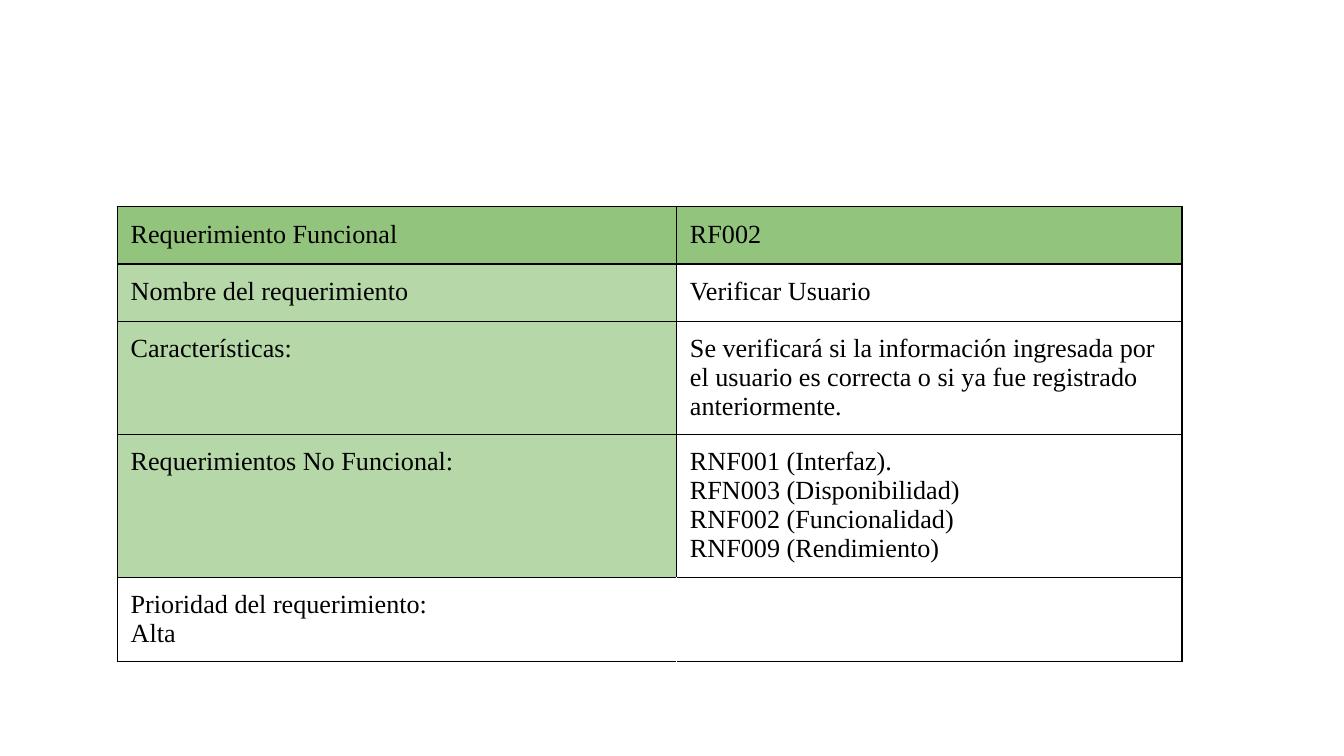
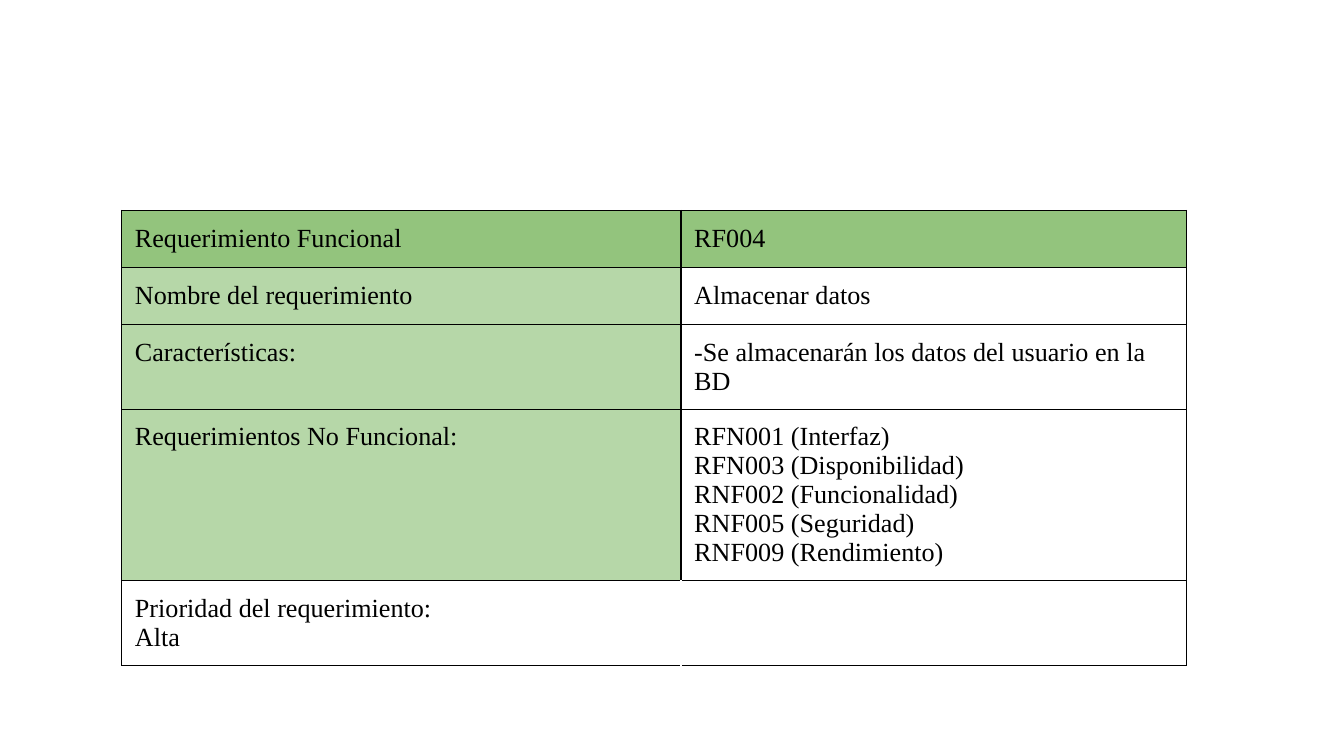
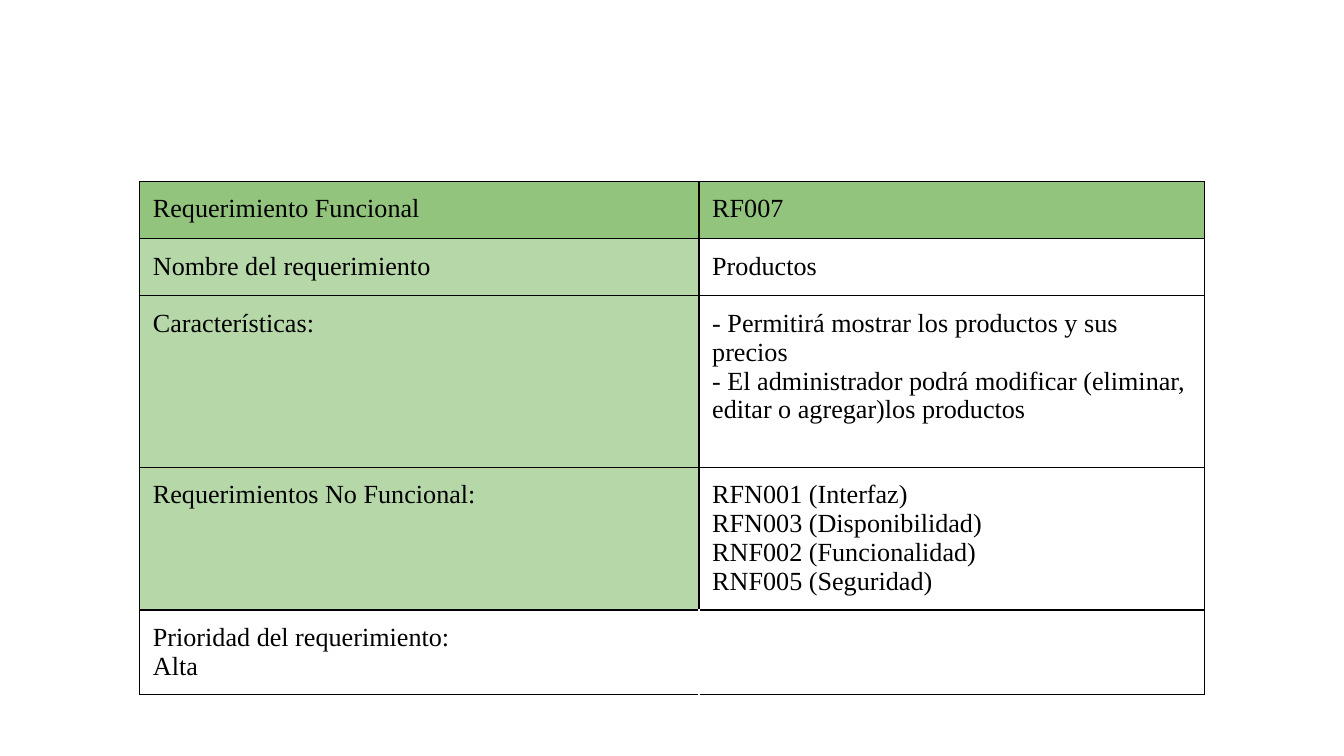
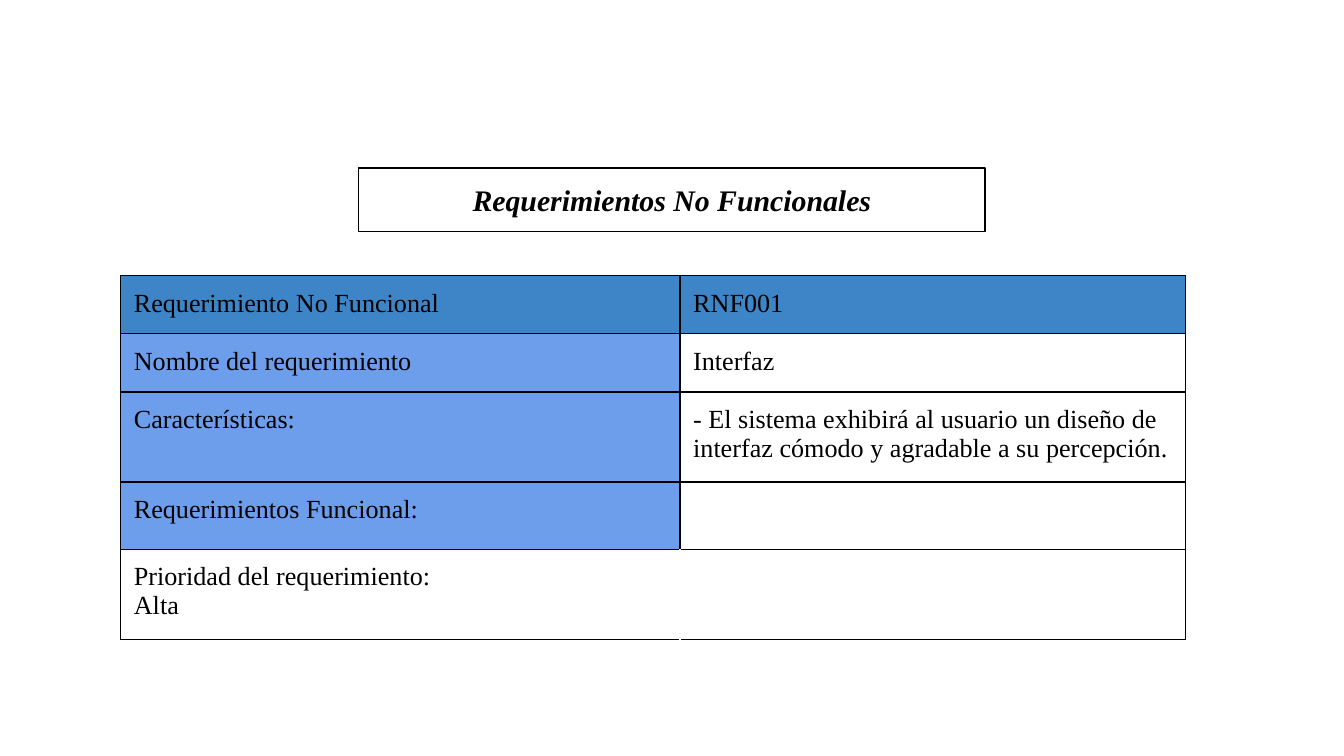
import pptx
import pptx.dml.color
import pptx.enum.shapes
import pptx.enum.text
import pptx.oxml
import pptx.oxml.ns
import pptx.util
from pptx.dml.color import RGBColor
from pptx.util import Cm

BLACK = RGBColor(0x00, 0x00, 0x00)
WHITE = RGBColor(0xFF, 0xFF, 0xFF)
GREEN = RGBColor(0x93, 0xC4, 0x7D)
LIGHT_GREEN = RGBColor(0xB6, 0xD7, 0xA8)
BLUE = RGBColor(0x3D, 0x85, 0xC6)
LIGHT_BLUE = RGBColor(0x6D, 0x9E, 0xEB)

FONT = "Times New Roman"
LINE_WIDTH = pptx.util.Pt(0.75)
INSET = Cm(0.25)
COLUMN_WIDTHS = (10.57, 9.55)
PRIORITY = ["Prioridad del requerimiento:", "Alta"]

FUNCTIONAL_LABELS = (
    "Requerimiento Funcional",
    "Nombre del requerimiento",
    "Características:",
    "Requerimientos No Funcional:",
)
NON_FUNCTIONAL_LABELS = (
    "Requerimiento No Funcional",
    "Nombre del requerimiento",
    "Características:",
    "Requerimientos Funcional:",
)


def add_blank_slide(deck):
    return deck.slides.add_slide(deck.slide_layouts[6])


def set_insets(holder):
    holder.margin_left = holder.margin_right = INSET
    holder.margin_top = holder.margin_bottom = INSET


def write_lines(frame, lines, size=14, bold=False, italic=False, align=None):
    """Write each line as a paragraph with one run."""
    for index, line in enumerate(lines):
        para = frame.add_paragraph() if index else frame.paragraphs[0]
        para.alignment = align
        span = para.add_run()
        span.text = line
        font = span.font
        font.name, font.size = FONT, pptx.util.Pt(size)
        font.bold, font.italic = bold, italic
        font.color.rgb = BLACK


def set_borders(cell, left=BLACK, right=BLACK):
    properties = cell._tc.get_or_add_tcPr()
    sides = {"lnL": left, "lnR": right, "lnT": BLACK, "lnB": BLACK}
    for tag, color in sides.items():
        properties.append(pptx.oxml.parse_xml(
            f'<a:{tag} {pptx.oxml.ns.nsdecls("a")} w="{LINE_WIDTH}">'
            f'<a:solidFill><a:srgbClr val="{color}"/></a:solidFill></a:{tag}>'
        ))


def fill_cell(cell, lines, color, **borders):
    set_insets(cell)
    set_borders(cell, **borders)
    cell.fill.solid()
    cell.fill.fore_color.rgb = color
    write_lines(cell.text_frame, lines)


def add_requirement_table(slide, left, top, heights, labels, values, head_color, label_color):
    """Add a labelled requirement sheet that closes with its priority row."""
    frame = slide.shapes.add_table(
        len(heights), 2, Cm(left), Cm(top), Cm(sum(COLUMN_WIDTHS)), Cm(sum(heights)))
    table = frame.table
    table.first_row = table.horz_banding = False
    for column, width in zip(table.columns, COLUMN_WIDTHS):
        column.width = Cm(width)
    for row, height in zip(table.rows, heights):
        row.height = Cm(height)
    for index, (label, lines) in enumerate(zip(labels, values)):
        is_head = index == 0
        fill_cell(table.cell(index, 0), [label], head_color if is_head else label_color)
        fill_cell(table.cell(index, 1), lines, head_color if is_head else WHITE)
    last = len(heights) - 1
    fill_cell(table.cell(last, 0), PRIORITY, WHITE, right=WHITE)
    fill_cell(table.cell(last, 1), [], WHITE, left=WHITE)


def add_title_box(slide, text):
    box = slide.shapes.add_shape(
        pptx.enum.shapes.MSO_SHAPE.RECTANGLE, Cm(6.78), Cm(3.18), Cm(11.84), Cm(1.2))
    box.shadow.inherit = False
    box.fill.background()
    box.line.color.rgb = BLACK
    box.line.width = LINE_WIDTH
    frame = box.text_frame
    frame.word_wrap = True
    frame.vertical_anchor = pptx.enum.text.MSO_ANCHOR.TOP
    set_insets(frame)
    write_lines(frame, [text], size=16, bold=True, italic=True,
                align=pptx.enum.text.PP_ALIGN.CENTER)


def main():
    deck = pptx.Presentation()
    deck.slide_width, deck.slide_height = Cm(25.4), Cm(14.29)

    functional_sheets = [
        (2.22, 3.91, (1.08, 1.08, 2.14, 2.7, 1.59), [
            ["RF002"],
            ["Verificar Usuario"],
            ["Se verificará si la información ingresada por el usuario es correcta "
             "o si ya fue registrado anteriormente."],
            ["RNF001 (Interfaz).", "RFN003 (Disponibilidad)",
             "RNF002 (Funcionalidad)", "RNF009 (Rendimiento)"],
        ]),
        (2.3, 3.98, (1.08, 1.08, 1.6, 3.24, 1.59), [
            ["RF004"],
            ["Almacenar datos"],
            ["-Se almacenarán los datos del usuario en la BD"],
            ["RFN001 (Interfaz)", "RFN003 (Disponibilidad)", "RNF002 (Funcionalidad)",
             "RNF005 (Seguridad)", "RNF009 (Rendimiento)"],
        ]),
        (2.64, 3.43, (1.08, 1.08, 3.24, 2.7, 1.59), [
            ["RF007"],
            ["Productos"],
            ["- Permitirá mostrar los productos y sus precios",
             "- El administrador podrá modificar (eliminar, editar o agregar)los productos"],
            ["RFN001 (Interfaz)", "RFN003 (Disponibilidad)",
             "RNF002 (Funcionalidad)", "RNF005 (Seguridad)"],
        ]),
    ]
    for left, top, heights, values in functional_sheets:
        add_requirement_table(add_blank_slide(deck), left, top, heights,
                              FUNCTIONAL_LABELS, values, GREEN, LIGHT_GREEN)

    slide = add_blank_slide(deck)
    add_title_box(slide, "Requerimientos No Funcionales")
    add_requirement_table(slide, 2.28, 5.21, (1.1, 1.1, 1.7, 1.27, 1.7),
                          NON_FUNCTIONAL_LABELS, [
                              ["RNF001"],
                              ["Interfaz"],
                              ["- El sistema exhibirá al usuario un diseño de interfaz "
                               "cómodo y agradable a su percepción."],
                              [],
                          ], BLUE, LIGHT_BLUE)

    deck.save("out.pptx")


if __name__ == "__main__":
    main()
